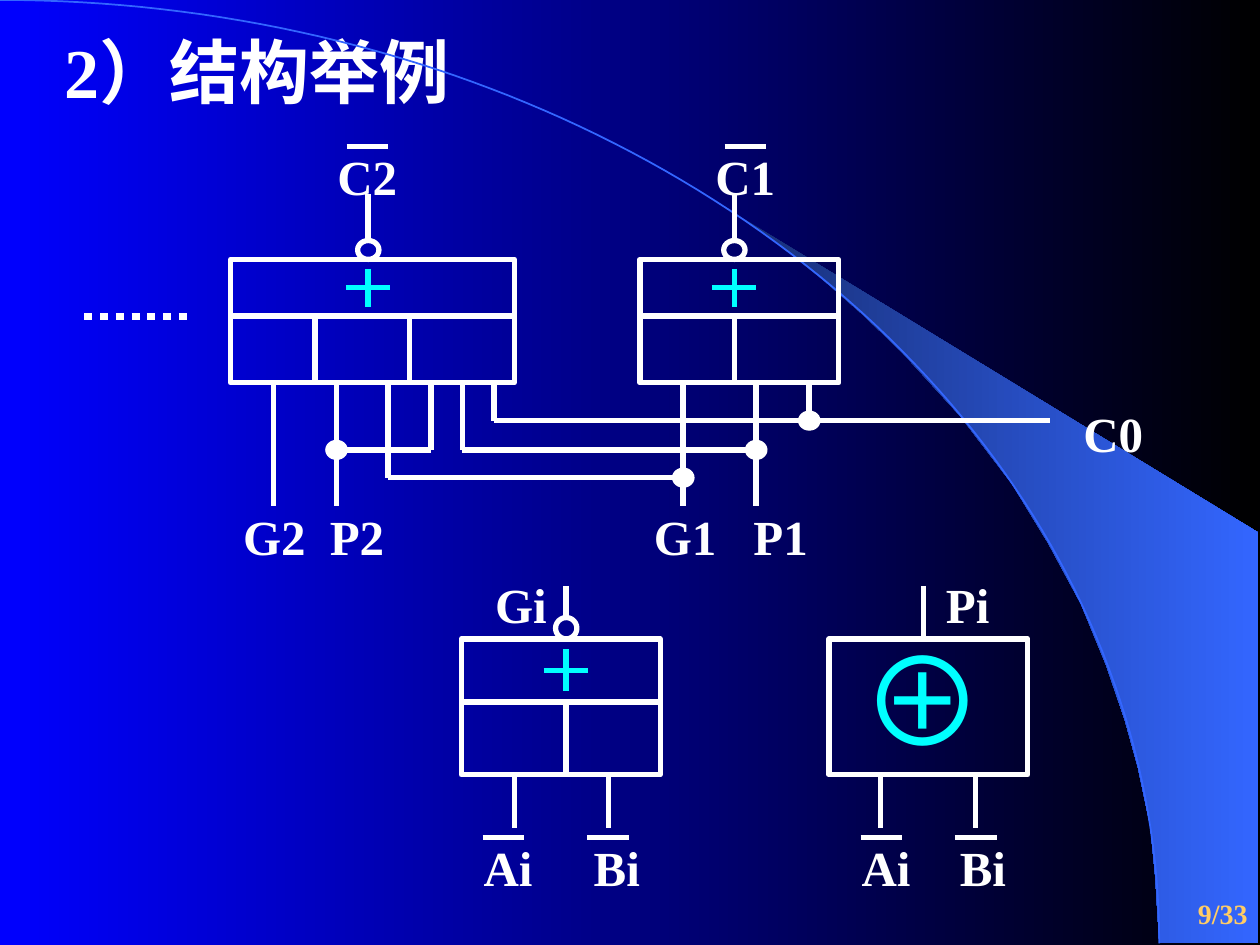
from dataclasses import dataclass
from math import cos, pi, sin

from lxml.etree import SubElement
from pptx import Presentation
from pptx.dml.color import RGBColor
from pptx.enum.dml import MSO_LINE
from pptx.enum.shapes import MSO_CONNECTOR, MSO_SHAPE
from pptx.enum.text import MSO_ANCHOR, MSO_AUTO_SIZE, PP_ALIGN
from pptx.oxml.ns import qn
from pptx.util import Cm, Pt

WHITE, CYAN, BLUE, ORANGE = "FFFFFF", "00FFFF", "3366FF", "FFCC66"
SERIF, CJK = "Times New Roman", "Noto Sans CJK SC"


@dataclass
class Box:
    left: float
    top: float
    width: float
    height: float

    def inner(self, x, y, width, height):
        return Box(self.left + x, self.top + y, width, height)

    def lengths(self):
        return [Cm(v) for v in (self.left, self.top, self.width, self.height)]


def color(value):
    return RGBColor.from_string(value)


def paint_gradient(fill, start, end):
    fill.gradient()
    fill.gradient_angle = 0
    for stop, value in zip(fill.gradient_stops, (start, end)):
        stop.color.rgb = color(value)


def add_line(page, box, x1, y1, x2, y2, value=WHITE, width=3):
    line = page.shapes.add_connector(
        MSO_CONNECTOR.STRAIGHT, Cm(box.left + x1), Cm(box.top + y1),
        Cm(box.left + x2), Cm(box.top + y2))
    line.line.color.rgb = color(value)
    line.line.width = Pt(width)
    SubElement(line._element.spPr, qn("a:effectLst"))
    return line


def add_outline(page, kind, box, fill=None, width=3):
    shape = page.shapes.add_shape(kind, *box.lengths())
    shape.shadow.inherit = False
    if fill:
        shape.fill.solid()
        shape.fill.fore_color.rgb = color(fill)
    else:
        shape.fill.background()
    shape.line.color.rgb = color(WHITE)
    shape.line.width = Pt(width)


def add_span(para, text, size, value=WHITE, font=SERIF, bold=True):
    span = para.add_run()
    span.text = text
    span.font.size = Pt(size)
    span.font.bold = bold
    span.font.name = font
    span.font.color.rgb = color(value)
    SubElement(span._r.get_or_add_rPr(), qn("a:ea"), typeface=CJK)


def add_label(page, box, text, tabs=(), size=28):
    frame = page.shapes.add_textbox(*box.lengths()).text_frame
    frame.word_wrap = True
    para = frame.paragraphs[0]
    if tabs:
        stops = SubElement(para._p.get_or_add_pPr(), qn("a:tabLst"))
        for stop in tabs:
            SubElement(stops, qn("a:tab"), pos=str(Cm(stop)), algn="l")
    add_span(para, text, size)


def add_backdrop(page, box):
    paint_gradient(page.background.fill, "0000FF", "000000")
    beam = [(23.37, 19), (25.37, 19.02), (25.37, 10.74), (14.96, 4.39),
            (15.85, 5.05), (16.59, 5.64), (17.4, 6.35), (18.19, 7.11),
            (19.35, 8.38), (20.4, 9.75), (21.13, 10.95), (21.79, 12.17),
            (22.3, 13.41), (22.68, 14.53), (22.94, 15.47), (23.19, 16.66),
            (23.29, 17.68)]
    radius_x, radius_y, steps = 23.37, 19.02, 90
    angles = [pi / 2 * i / steps for i in range(steps + 1)]
    arc = [(radius_x * sin(a), radius_y * (1 - cos(a))) for a in angles]
    for points, closed in ((beam, True), (arc, False)):
        spots = [(Cm(box.left + x), Cm(box.top + y)) for x, y in points]
        builder = page.shapes.build_freeform(*spots[0])
        builder.add_line_segments(spots[1:], close=closed)
        shape = builder.convert_to_shape()
        shape.shadow.inherit = False
        if closed:
            paint_gradient(shape.fill, "182F76", BLUE)
            shape.line.fill.background()
        else:
            shape.fill.background()
            shape.line.color.rgb = color(BLUE)
            shape.line.width = Pt(1)


def add_title(page, box):
    title = page.shapes.title
    title.left, title.top, title.width, title.height = box.lengths()
    frame = title.text_frame
    frame.auto_size = MSO_AUTO_SIZE.NONE
    frame.word_wrap = True
    frame.vertical_anchor = MSO_ANCHOR.TOP
    frame.margin_left = Cm(1.31)
    para = frame.paragraphs[0]
    para.alignment = PP_ALIGN.LEFT
    para.line_spacing = 0.7
    add_span(para, "2）结构举例", 40)


def add_nor_gate(page, box, middle, divider, splits, lead, bubble):
    add_outline(page, MSO_SHAPE.RECTANGLE, box)
    add_line(page, box, 0, divider, box.width, divider)
    for x in splits:
        add_line(page, box, x, divider, x, box.height)
    add_line(page, box, middle, -lead, middle, -bubble)
    add_outline(page, MSO_SHAPE.OVAL,
                box.inner(middle - 0.21, -bubble, 0.43, bubble))
    center, reach = divider / 2, divider / 3
    add_line(page, box, middle - 0.45, center, middle + 0.45, center, CYAN)
    add_line(page, box, middle, center - reach, middle, center + reach, CYAN)


def add_inputs(page, box, legs, bars, label_left, tab):
    for x in legs:
        add_line(page, box, x, box.height, x, box.height + 1.07)
    for x in bars:
        add_line(page, box, x, 4.01, x + 0.84, 4.01)
    add_label(page, box.inner(label_left, 3.88, 4.65, 1.45), "Ai\tBi", [tab])


def add_generate_gate(page, box):
    add_nor_gate(page, box, 2.11, 1.27, [2.11], 1.07, 0.43)
    add_inputs(page, box, (1.07, 2.97), (0.43, 2.54), 0.2, 2.22)
    add_label(page, box.inner(0.43, -1.43, 2.11, 1.45), "Gi")


def add_propagate_gate(page, box):
    add_outline(page, MSO_SHAPE.RECTANGLE, box)
    add_line(page, box, 1.9, -1.07, 1.9, 0)
    add_inputs(page, box, (1.04, 2.95), (0.64, 2.54), 0.41, 1.98)
    add_label(page, box.inner(2.11, -1.43, 2.11, 1.45), "Pi")
    symbol = page.shapes.add_textbox(*box.inner(0.66, -0.28, 2.46, 2.97).lengths())
    frame = symbol.text_frame
    frame.margin_left = frame.margin_right = 0
    frame.margin_top = frame.margin_bottom = 0
    frame.word_wrap = False
    add_span(frame.paragraphs[0], "⊕", 70, CYAN, CJK, False)


def add_wiring(page, box):
    high, middle, low, full = 0.76, 1.35, 1.91, 2.49
    drops = [(5.51, full), (6.78, full), (7.82, low), (8.69, middle),
             (9.32, middle), (9.96, high), (13.77, full), (15.24, full),
             (16.31, high)]
    buses = [(9.96, 21.16, high), (9.32, 15.24, middle),
             (7.82, 13.77, low), (6.78, 8.69, middle)]
    joints = [(16.31, high), (6.78, middle), (13.77, low), (15.24, middle)]
    for x, depth in drops:
        add_line(page, box, x, 0, x, depth)
    for start, end, y in buses:
        add_line(page, box, start, y, end, y)
    for x, y in joints:
        add_outline(page, MSO_SHAPE.OVAL,
                    box.inner(x - 0.21, y - 0.19, 0.43, 0.38), WHITE, 0.75)


def add_carry_chain(page, box):
    add_nor_gate(page, box.inner(4.65, 5.23, 5.72, 2.49),
                 2.77, 1.14, [1.7, 3.61], 1.32, 0.38)
    add_nor_gate(page, box.inner(12.9, 5.23, 4.01, 2.49),
                 1.9, 1.14, [1.9], 1.32, 0.38)
    add_wiring(page, box.inner(0, 7.72, 21.16, 2.49))
    dots = add_line(page, box, 1.7, 6.38, 3.81, 6.38, width=4.5)
    dots.line.dash_style = MSO_LINE.ROUND_DOT
    for x in (6.99, 14.61):
        add_line(page, box, x, 2.95, x + 0.84, 2.95)
    add_label(page, box.inner(6.55, 2.82, 10.8, 1.45), "C2\tC1", [7.62])
    add_label(page, box.inner(4.65, 10.08, 15.24, 1.45),
              "G2\tP2\tG1\tP1", [1.75, 8.28, 10.29])
    add_label(page, box.inner(21.59, 8, 2.34, 1.45), "C0")


def add_page_number(page, box):
    frame = page.shapes.add_textbox(*box.lengths()).text_frame
    frame.word_wrap = True
    frame.vertical_anchor = MSO_ANCHOR.MIDDLE
    frame.paragraphs[0].alignment = PP_ALIGN.RIGHT
    add_span(frame.paragraphs[0], "9/33", 16, ORANGE)


def main():
    deck = Presentation()
    deck.slide_width, deck.slide_height = Cm(25.4), Cm(19.05)
    page = deck.slides.add_slide(deck.slide_layouts[5])
    whole = Box(0, 0, 25.4, 19.05)
    add_backdrop(page, whole)
    add_title(page, Box(0, 0.91, 13.77, 1.45))
    add_generate_gate(page, Box(9.3, 12.88, 4.01, 2.74))
    add_carry_chain(page, whole)
    add_propagate_gate(page, Box(16.71, 12.88, 4.01, 2.74))
    add_page_number(page, Box(19.1, 17.78, 6.3, 1.27))
    deck.save("out.pptx")


if __name__ == "__main__":
    main()
